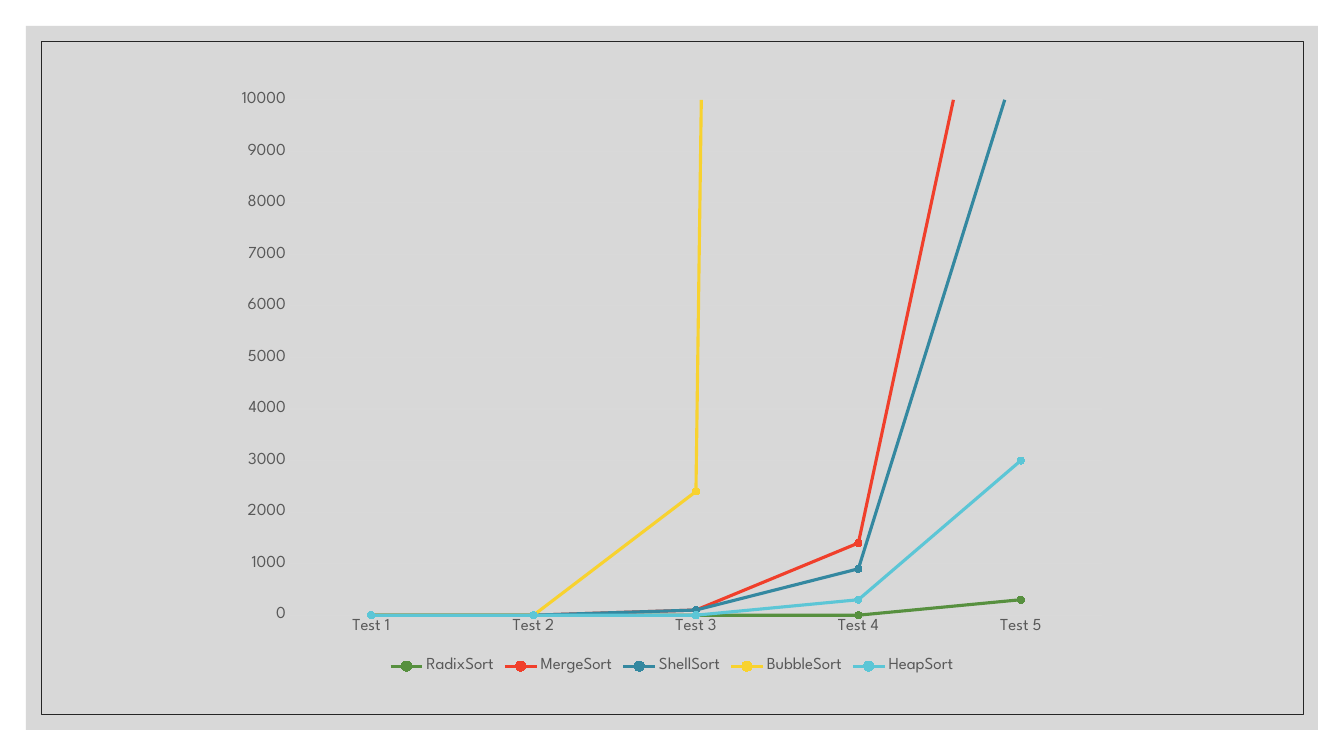
from dataclasses import dataclass

from lxml import etree
from pptx import Presentation
from pptx.chart.data import CategoryChartData
from pptx.dml.color import RGBColor
from pptx.enum.chart import XL_CHART_TYPE, XL_LEGEND_POSITION, XL_MARKER_STYLE, XL_TICK_MARK
from pptx.enum.shapes import MSO_SHAPE
from pptx.oxml.ns import qn
from pptx.util import Emu, Pt

RECTANGLE = MSO_SHAPE.RECTANGLE
LINE_MARKERS = XL_CHART_TYPE.LINE_MARKERS
LEGEND_BOTTOM = XL_LEGEND_POSITION.BOTTOM
CIRCLE = XL_MARKER_STYLE.CIRCLE
NO_TICK = XL_TICK_MARK.NONE

EMU_PER_PIXEL = 914400 / 100.8
FONT = "League Spartan"
COLORS = {
    "panel": "BFBFBF",
    "frame": "262626",
    "text": "595959",
    "black": "000000",
    "grid": "D9D9D9",
    "green": "57903F",
    "red": "F03F2B",
    "teal": "3488A0",
    "yellow": "F8D22F",
    "cyan": "5CC6D6",
}


@dataclass(frozen=True)
class Box:
    """A place on the slide, in pixels."""
    left: int
    top: int
    width: int
    height: int

    def emu(self) -> tuple[Emu, ...]:
        """Return left, top, width and height in EMU."""
        return tuple(map(pixels, (self.left, self.top, self.width, self.height)))


@dataclass(frozen=True)
class SortTimes:
    """The timings of one sorting algorithm."""
    name: str
    color: str
    values: tuple[int, ...]


PANEL = Box(26, 26, 1292, 704)
FRAME = Box(41, 41, 1262, 673)
CHART = Box(224, 80, 896, 598)
TESTS = [f"Test {number}" for number in range(1, 6)]
ALGORITHMS = (
    SortTimes("RadixSort", "green", (0, 0, 0, 0, 300)),
    SortTimes("MergeSort", "red", (0, 0, 100, 1400, 16100)),
    SortTimes("ShellSort", "teal", (0, 0, 100, 900, 11000)),
    SortTimes("BubbleSort", "yellow", (0, 0, 2400, 232700, 23582800)),
    SortTimes("HeapSort", "cyan", (0, 0, 0, 300, 3000)),
)


def pixels(length: int) -> Emu:
    """Turn pixels into EMU."""
    return Emu(round(length * EMU_PER_PIXEL))


def rgb(name: str) -> RGBColor:
    """Look up a named colour."""
    return RGBColor.from_string(COLORS[name])


def style_font(font, size: int, color: str) -> None:
    """Set the typeface, size and colour of a font."""
    font.name = FONT
    font.size = Pt(size)
    font.color.rgb = rgb(color)


def style_line(line, color: str, width: float) -> None:
    """Set the colour and width of a line."""
    line.color.rgb = rgb(color)
    line.width = Pt(width)


def add_rectangle(slide, box: Box):
    """Add a rectangle without a shadow."""
    shape = slide.shapes.add_shape(RECTANGLE, *box.emu())
    shape.shadow.inherit = False
    return shape


def add_panel(slide) -> None:
    """Add the translucent grey panel."""
    panel = add_rectangle(slide, PANEL)
    panel.fill.solid()
    panel.fill.fore_color.rgb = rgb("panel")
    panel.line.fill.background()
    color = panel.fill._xPr.find(qn("a:solidFill")).find(qn("a:srgbClr"))
    etree.SubElement(color, qn("a:alpha")).set("val", "60000")


def add_frame(slide) -> None:
    """Add the thin frame inside the panel."""
    frame = add_rectangle(slide, FRAME)
    frame.fill.background()
    style_line(frame.line, "frame", 0.5)


def style_axis(axis) -> None:
    """Set the labels of an axis and remove its tick marks."""
    axis.major_tick_mark = axis.minor_tick_mark = NO_TICK
    style_font(axis.tick_labels.font, 12, "text")


def add_sort_chart(slide) -> None:
    """Add the line chart of sorting times."""
    data = CategoryChartData(number_format="General")
    data.categories = TESTS
    for algorithm in ALGORITHMS:
        data.add_series(algorithm.name, algorithm.values)
    chart = slide.shapes.add_chart(LINE_MARKERS, *CHART.emu(), data).chart
    chart.has_title = False
    style_font(chart.font, 10, "black")

    chart.has_legend = True
    chart.legend.position = LEGEND_BOTTOM
    chart.legend.include_in_layout = False
    style_font(chart.legend.font, 12, "text")

    style_axis(chart.category_axis)
    style_line(chart.category_axis.format.line, "grid", 0.75)
    value_axis = chart.value_axis
    style_axis(value_axis)
    value_axis.minimum_scale = 0
    value_axis.maximum_scale = 10000
    value_axis.major_unit = 1000
    value_axis.format.line.fill.background()
    style_line(value_axis.major_gridlines.format.line, "grid", 0.75)

    plot = chart.plots[0]
    plot.vary_by_categories = False
    for series, algorithm in zip(plot.series, ALGORITHMS):
        series.smooth = False
        style_line(series.format.line, algorithm.color, 2.25)
        marker = series.marker
        marker.style = CIRCLE
        marker.size = 5
        marker.format.fill.solid()
        marker.format.fill.fore_color.rgb = rgb(algorithm.color)
        style_line(marker.format.line, algorithm.color, 0.75)


def main() -> None:
    """Build and save the slide."""
    presentation = Presentation()
    presentation.slide_width = pixels(1344)
    presentation.slide_height = pixels(756)
    slide = presentation.slides.add_slide(presentation.slide_layouts[6])
    add_panel(slide)
    add_frame(slide)
    add_sort_chart(slide)
    presentation.save("out.pptx")


main()
